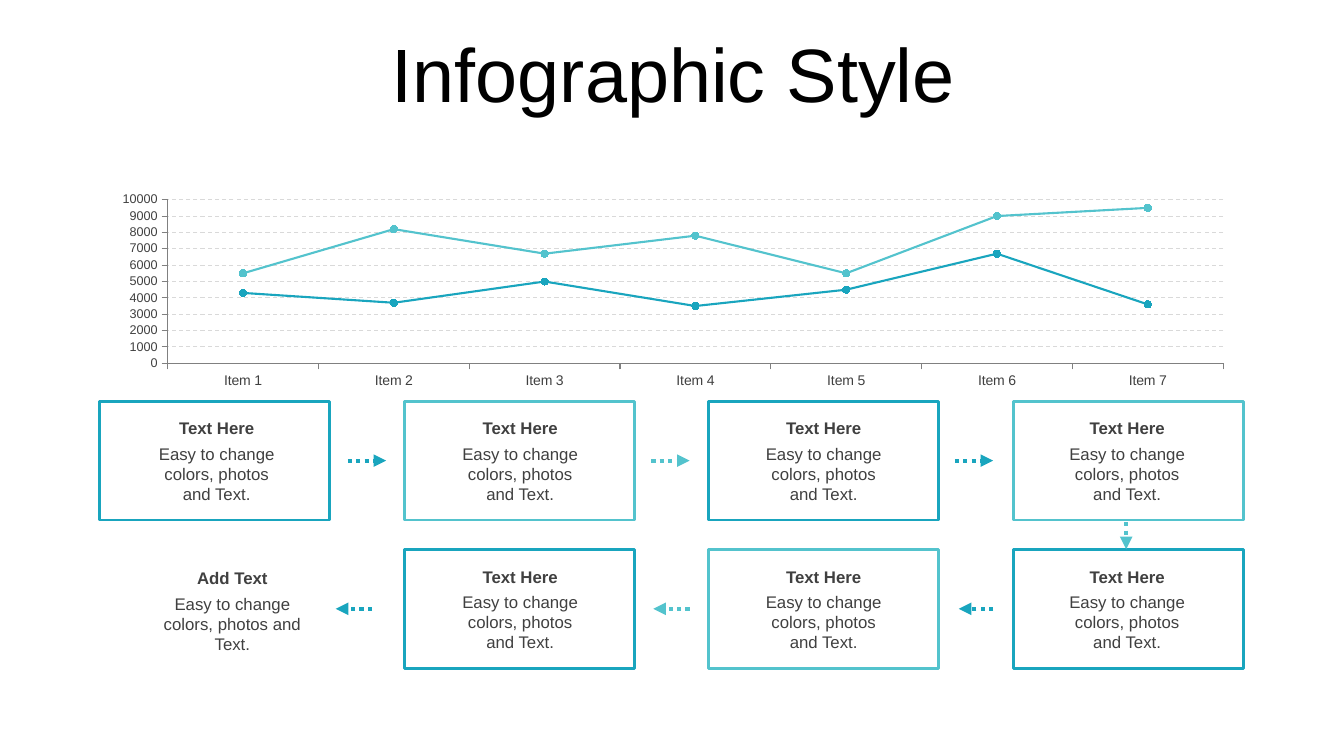
from lxml import etree
from pptx import Presentation
from pptx import util as u
from pptx.chart import data
from pptx.dml.color import RGBColor
from pptx.enum import chart as ch, dml, shapes, text
from pptx.oxml import ns

TEAL = RGBColor(0x19, 0xA5, 0xBE)
AQUA = RGBColor(0x53, 0xC3, 0xCD)
INK = RGBColor(0x40, 0x40, 0x40)
BLACK = RGBColor(0, 0, 0)
GRID = RGBColor(0xD9, 0xD9, 0xD9)
AXIS = RGBColor(0x80, 0x80, 0x80)
FONT = "Arial"
IN = u.Inches
BODY = "Easy to change colors, photos and Text."


def style_font(font, size, color, bold=False):
    font.name, font.size, font.bold = FONT, u.Pt(size), bold
    font.color.rgb = color


def put(tf, words, size=12, color=INK, bold=False, spacing=None,
        anchor=text.MSO_ANCHOR.TOP):
    """Write one centred paragraph into a text frame."""
    tf.word_wrap = True
    tf.auto_size = text.MSO_AUTO_SIZE.NONE
    tf.vertical_anchor = anchor
    p = tf.paragraphs[0]
    p.alignment = text.PP_ALIGN.CENTER
    p.line_spacing = spacing
    p.space_before = u.Pt(0)
    r = p.add_run()
    r.text = words
    style_font(r.font, size, color, bold)


class Deck:
    def __init__(self):
        self.prs = Presentation()
        self.prs.slide_width, self.prs.slide_height = IN(13.33), IN(7.5)
        self.s = self.prs.slides.add_slide(self.prs.slide_layouts[5])

    def title(self, words, x, y, w, h):
        sp = self.s.shapes.title
        sp.left, sp.top, sp.width, sp.height = IN(x), IN(y), IN(w), IN(h)
        put(sp.text_frame, words, size=54, color=BLACK, spacing=0.9,
            anchor=text.MSO_ANCHOR.MIDDLE)

    def frame(self, x, y, color):
        sp = self.s.shapes.add_shape(shapes.MSO_SHAPE.RECTANGLE,
                                     IN(x), IN(y), IN(2.28), IN(1.18))
        sp.shadow.inherit = False
        sp.fill.background()
        sp.line.color.rgb = color
        sp.line.width = u.Pt(2)

    def caption(self, heading, x, y, w, gap=0.25):
        """Add a bold heading with the body text below it."""
        for words, top, h, bold in ((heading, y, 0.3, True),
                                    (BODY, y + gap, 0.71, False)):
            sp = self.s.shapes.add_textbox(IN(x), IN(top), IN(w), IN(h))
            put(sp.text_frame, words, bold=bold)

    def arrow(self, x1, y1, x2, y2, color):
        c = self.s.shapes.add_connector(shapes.MSO_CONNECTOR.STRAIGHT,
                                        IN(x1), IN(y1), IN(x2), IN(y2))
        c.line.color.rgb = color
        c.line.width = u.Pt(3)
        c.line.dash_style = dml.MSO_LINE.ROUND_DOT
        etree.SubElement(c.get_or_add_ln(), ns.qn("a:tailEnd"), type="triangle")
        etree.SubElement(c._element.spPr, ns.qn("a:effectLst"))

    def line_chart(self, x, y, w, h, cats, series):
        cd = data.CategoryChartData()
        cd.categories = cats
        for name, values, _ in series:
            cd.add_series(name, values)
        chart = self.s.shapes.add_chart(ch.XL_CHART_TYPE.LINE_MARKERS, IN(x),
                                        IN(y), IN(w), IN(h), cd).chart
        chart.has_legend = chart.has_title = False
        style_font(chart.font, 18, BLACK)
        plot = chart.plots[0]
        plot.vary_by_categories = False
        for line, (_, _, color) in zip(plot.series, series):
            line.smooth = False
            line.format.line.color.rgb = color
            line.format.line.width = u.Pt(1.5)
            line.marker.style = ch.XL_MARKER_STYLE.CIRCLE
            line.marker.size = 5
            line.marker.format.fill.solid()
            line.marker.format.fill.fore_color.rgb = color
            line.marker.format.line.color.rgb = color
        for axis, size in ((chart.category_axis, 10), (chart.value_axis, 9)):
            style_font(axis.tick_labels.font, size, INK)
            axis.major_tick_mark = ch.XL_TICK_MARK.OUTSIDE
            axis.minor_tick_mark = ch.XL_TICK_MARK.NONE
            axis.format.line.color.rgb = AXIS
            axis.format.line.width = u.Pt(0.75)
        axis = chart.value_axis
        axis.minimum_scale, axis.maximum_scale, axis.major_unit = 0, 10000, 1000
        axis.has_major_gridlines = True
        grid = axis.major_gridlines.format.line
        grid.color.rgb, grid.width = GRID, u.Pt(0.75)
        grid.dash_style = dml.MSO_LINE.DASH
        self.place_plot(chart, x=0.06, y=0.06, w=0.92, h=0.8)

    def place_plot(self, chart, **fractions):
        """Fix the inner plot area as fractions of the chart."""
        area = chart._chartSpace.find(".//" + ns.qn("c:plotArea"))
        for old in area.findall(ns.qn("c:layout")):
            area.remove(old)
        layout = etree.Element(ns.qn("c:layout"))
        manual = etree.SubElement(layout, ns.qn("c:manualLayout"))
        settings = {"layoutTarget": "inner", "xMode": "edge", "yMode": "edge",
                    **fractions}
        for tag, value in settings.items():
            etree.SubElement(manual, ns.qn("c:" + tag), val=str(value))
        area.insert(0, layout)


def main():
    d = Deck()
    d.title("Infographic Style", 0.35, 0.31, 12.66, 0.92)

    colors = (TEAL, AQUA)
    for row, y in enumerate((3.98, 5.45)):
        for col in range(row, 4):
            d.frame(0.99 + 3.02 * col, y, colors[(row + col) % 2])
            d.caption("Text Here", 1.4 + 3.01 * col, y + 0.12, 1.5)
    d.caption("Add Text", 1.4, 5.58, 1.81, gap=0.26)

    for col in range(3):
        x = 3.45 + 3.01 * col
        d.arrow(x, 4.57, x + 0.38, 4.57, colors[col % 2])
    d.arrow(11.17, 5.18, 11.17, 5.45, AQUA)
    for x1, x2, color in ((9.85, 9.51, TEAL), (6.84, 6.48, AQUA),
                          (3.69, 3.33, TEAL)):
        d.arrow(x1, 6.04, x2, 6.04, color)

    d.line_chart(0.98, 1.86, 11.38, 2.03, [f"Item {n}" for n in range(1, 8)], (
        ("Series 1", (4300, 3700, 5000, 3500, 4500, 6700, 3600), TEAL),
        ("Series 2", (5500, 8200, 6700, 7800, 5500, 9000, 9500), AQUA)))
    d.prs.save("out.pptx")


if __name__ == "__main__":
    main()
